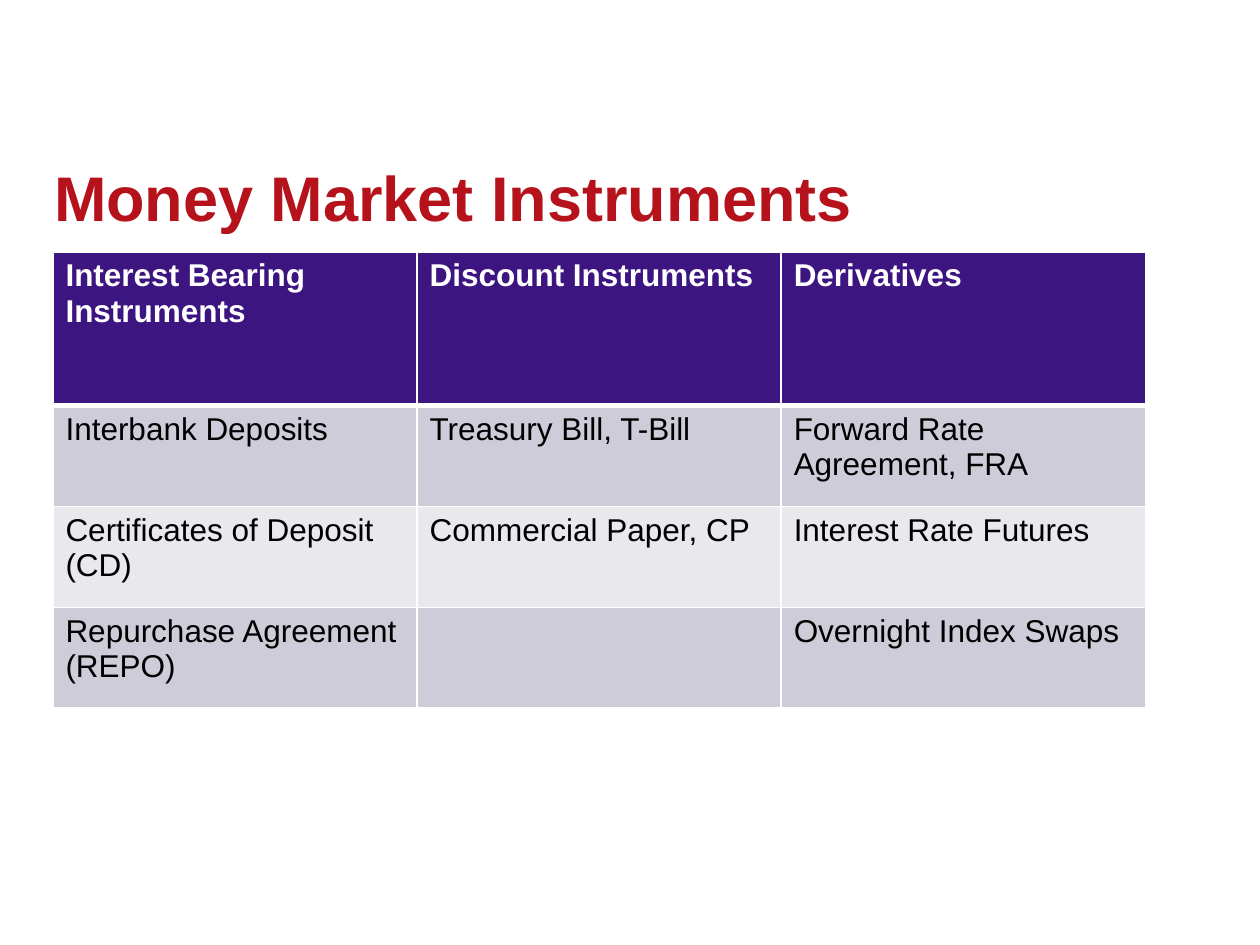
from dataclasses import dataclass

from lxml.etree import SubElement
from pptx import Presentation
from pptx.dml.color import RGBColor
from pptx.enum.text import MSO_ANCHOR
from pptx.oxml.ns import qn
from pptx.slide import Slide
from pptx.table import _Cell
from pptx.text.text import _Paragraph
from pptx.util import Inches, Pt

FONT = "Arial"
COLORS = {
    "title": "B5121B",
    "header": "3C1581",
    "band_dark": "CECCD8",
    "band_light": "E8E8ED",
    "white": "FFFFFF",
    "black": "000000",
}
TABLE_LEFT, TABLE_TOP = 0.42, 2
COLUMN_WIDTH = 2.89
THIN, THICK = 1, 3


@dataclass(frozen=True)
class TableRow:
    texts: tuple[str, str, str]
    fill: str
    height: float = 0.8
    color: str = "black"
    bold: bool = False
    top_line: int = THIN
    bottom_line: int = THIN


ROWS = [
    TableRow(("Interest Bearing Instruments", "Discount Instruments", "Derivatives"),
             "header", 1.22, "white", True, bottom_line=THICK),
    TableRow(("Interbank Deposits", "Treasury Bill, T-Bill", "Forward Rate Agreement, FRA"),
             "band_dark", top_line=THICK),
    TableRow(("Certificates of Deposit (CD)", "Commercial Paper, CP", "Interest Rate Futures"),
             "band_light"),
    TableRow(("Repurchase Agreement (REPO)", "", "Overnight Index Swaps"), "band_dark"),
]


def rgb(name: str) -> RGBColor:
    return RGBColor.from_string(COLORS[name])


def format_text(paragraph: _Paragraph, size: int, color: str, bold: bool) -> None:
    for run in paragraph.runs:
        run.font.name = FONT
        run.font.size = Pt(size)
        run.font.bold = bold
        run.font.color.rgb = rgb(color)


def add_title(slide: Slide, text: str) -> None:
    title = slide.shapes.add_textbox(Inches(0.43), Inches(0.6), Inches(7.4), Inches(1.26))
    frame = title.text_frame
    frame.text = text
    frame.word_wrap = True
    frame.vertical_anchor = MSO_ANCHOR.BOTTOM
    frame.margin_left = frame.margin_top = frame.margin_right = frame.margin_bottom = 0
    paragraph = frame.paragraphs[0]
    paragraph.line_spacing = Pt(35)
    format_text(paragraph, 36, "title", True)


def set_borders(cell: _Cell, top: int, bottom: int) -> None:
    """Draw white cell borders; must run before the fill, which follows them in the XML."""
    properties = cell._tc.get_or_add_tcPr()
    for side, width in (("L", THIN), ("R", THIN), ("T", top), ("B", bottom)):
        line = SubElement(properties, qn(f"a:ln{side}"), w=str(Pt(width)))
        fill = SubElement(line, qn("a:solidFill"))
        SubElement(fill, qn("a:srgbClr"), val=COLORS["white"])


def add_instrument_table(slide: Slide, rows: list[TableRow]) -> None:
    column_count = len(rows[0].texts)
    table = slide.shapes.add_table(
        len(rows), column_count, Inches(TABLE_LEFT), Inches(TABLE_TOP),
        Inches(COLUMN_WIDTH * column_count), Inches(sum(row.height for row in rows)),
    ).table
    for column in table.columns:
        column.width = Inches(COLUMN_WIDTH)
    for row, table_row in zip(rows, table.rows):
        table_row.height = Inches(row.height)
        for text, cell in zip(row.texts, table_row.cells):
            set_borders(cell, row.top_line, row.bottom_line)
            cell.fill.solid()
            cell.fill.fore_color.rgb = rgb(row.fill)
            cell.text_frame.text = text
            format_text(cell.text_frame.paragraphs[0], 18, row.color, row.bold)


def main() -> None:
    presentation = Presentation()
    presentation.slide_width = Inches(10)
    presentation.slide_height = Inches(7.5)
    slide = presentation.slides.add_slide(presentation.slide_layouts[6])
    add_title(slide, "Money Market Instruments")
    add_instrument_table(slide, ROWS)
    presentation.save("out.pptx")


if __name__ == "__main__":
    main()
